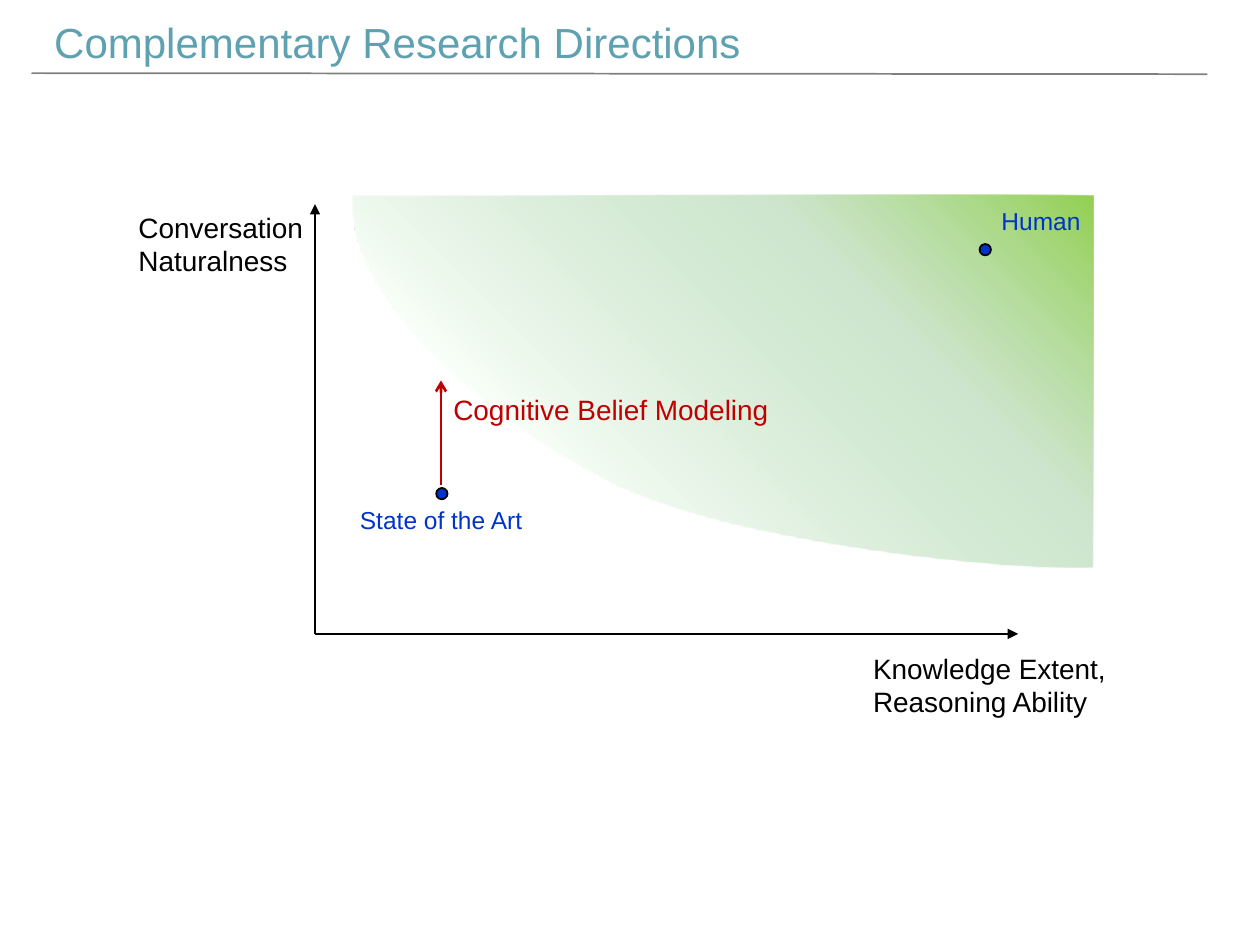
from lxml import etree
from pptx import Presentation
from pptx.dml.color import RGBColor
from pptx.enum.shapes import MSO_CONNECTOR, MSO_SHAPE
from pptx.enum.text import MSO_ANCHOR, MSO_AUTO_SIZE, PP_ALIGN
from pptx.oxml.ns import qn
from pptx.util import Pt

STRAIGHT, OVAL = MSO_CONNECTOR.STRAIGHT, MSO_SHAPE.OVAL
TOP, LEFT, FIT = MSO_ANCHOR.TOP, PP_ALIGN.LEFT, MSO_AUTO_SIZE.SHAPE_TO_FIT_TEXT

COLORS = {
    "title": "5EA1B0", "rule": "808080", "axis": "000000", "system": "0033CC",
    "direction": "C00000", "near": "92D050", "middle": "B5D9B5", "far": "F9FFF9",
}
TITLE = ("Complementary Research Directions", (23.76, 5.76, 411, 36))
LABELS = [
    ("Conversation\nNaturalness", (72, 116.64, 109.44, 46), 16, "axis"),
    ("Knowledge Extent,\nReasoning Ability", (491.8, 368.64, 149, 46), 16, "axis"),
    ("Human", (565.2, 113.9, 59.76, 24.3), 14, "system"),
    ("State of the Art", (198.6, 285.1, 108, 24.3), 14, "system"),
    ("Cognitive Belief Modeling", (252, 220.6, 196.6, 26.7), 16, "direction"),
]
ORIGIN = (180, 362.2)
LINES = [
    (ORIGIN, (180, 116.64), "axis", 1, "triangle"),
    (ORIGIN, (581.8, 362.2), "axis", 1, "triangle"),
    ((18, 41.8), (690, 42.4), "rule", 1, None),
    ((252, 277.2), (252, 217.4), "direction", 1.5, "arrow"),
]
DOT_SIZE = 6.5
DOT_CENTERS = [(252.5, 282.1), (563, 142.7)]
REGION_START = (201.6, 111.6)
REGION_CURVES = [
    [(195.8, 169.2), (279.4, 240.5), (349.9, 275.8)],
    [(420.5, 311), (581, 326.2), (624.2, 324)],
    [(625, 278.6), (625, 193), (625, 111.6)],
    [(553, 110.2), (259.9, 112.3), REGION_START],
]
REGION_STOPS = [(0, "near", 100), (29, "middle", 67), (73, "far", 100)]
REGION_ANGLE = 135


def rgb(color):
    return RGBColor.from_string(COLORS[color])


def points(values):
    return tuple(Pt(value) for value in values)


def child(parent, tag, **attributes):
    return etree.SubElement(parent, qn(tag), {k: str(v) for k, v in attributes.items()})


def write(box, text, *, at, size, color):
    box.left, box.top, box.width, box.height = points(at)
    frame = box.text_frame
    frame.text = text
    frame.word_wrap, frame.auto_size, frame.vertical_anchor = False, FIT, TOP
    for paragraph in frame.paragraphs:
        paragraph.alignment = LEFT
        paragraph.font.name, paragraph.font.size = "Arial", Pt(size)
        paragraph.font.color.rgb = rgb(color)


def add_region(shapes):
    builder = shapes.build_freeform(*points(REGION_START))
    builder.add_line_segments([points(p) for curve in REGION_CURVES for p in curve])
    region = builder.convert_to_shape()
    region.shadow.inherit = False
    region.line.fill.background()
    properties = region._element.spPr
    segments = list(properties.iter(qn("a:lnTo")))
    for first in range(0, len(segments), 3):
        curve = etree.Element(qn("a:cubicBezTo"))
        segments[first].addprevious(curve)
        for segment in segments[first:first + 3]:
            curve.append(segment[0])
            segment.getparent().remove(segment)
    gradient = etree.Element(qn("a:gradFill"), rotWithShape="1")
    stops = child(gradient, "a:gsLst")
    for position, color, opacity in REGION_STOPS:
        stop = child(stops, "a:gs", pos=position * 1000)
        tone = child(stop, "a:srgbClr", val=COLORS[color])
        if opacity < 100:
            child(tone, "a:alpha", val=opacity * 1000)
    child(gradient, "a:lin", ang=REGION_ANGLE * 60000, scaled=0)
    properties.find(qn("a:custGeom")).addnext(gradient)


def add_line(shapes, start, end, color, width, head):
    connector = shapes.add_connector(STRAIGHT, *points(start + end))
    connector.line.color.rgb, connector.line.width = rgb(color), Pt(width)
    if head:
        child(connector.line._get_or_add_ln(), "a:tailEnd", type=head)
    child(connector._element.spPr, "a:effectLst")


def add_dot(shapes, x, y):
    corner = (x - DOT_SIZE / 2, y - DOT_SIZE / 2)
    dot = shapes.add_shape(OVAL, *points(corner + (DOT_SIZE, DOT_SIZE)))
    dot.shadow.inherit = False
    dot.fill.solid()
    dot.fill.fore_color.rgb = rgb("system")
    dot.line.color.rgb, dot.line.width = rgb("axis"), Pt(1)


def main():
    """Build the chart of complementary research directions."""
    deck = Presentation()
    deck.slide_width, deck.slide_height = Pt(720), Pt(540)
    shapes = deck.slides.add_slide(deck.slide_layouts[5]).shapes
    write(shapes.title, TITLE[0], at=TITLE[1], size=24, color="title")
    add_region(shapes)
    for center in DOT_CENTERS:
        add_dot(shapes, *center)
    for line in LINES:
        add_line(shapes, *line)
    for text, place, size, color in LABELS:
        write(shapes.add_textbox(0, 0, 0, 0), text, at=place, size=size, color=color)
    deck.save("out.pptx")


if __name__ == "__main__":
    main()
